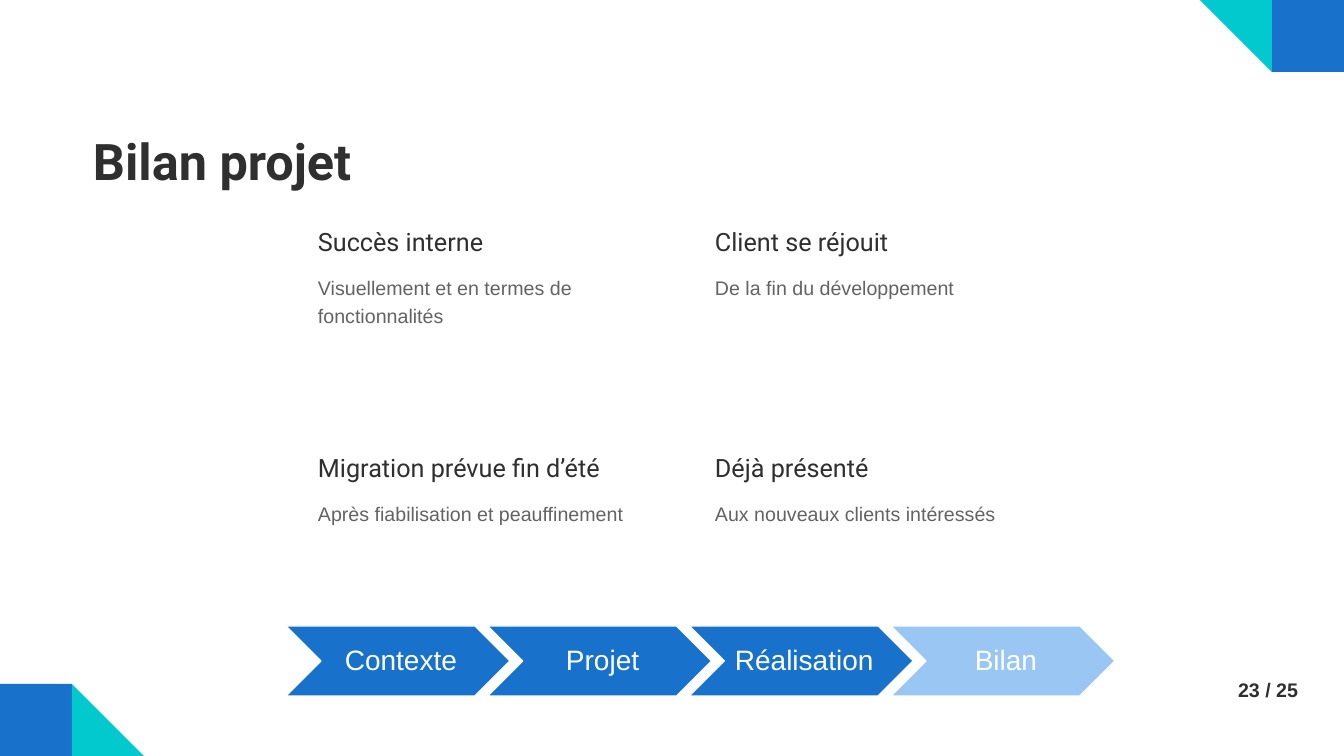
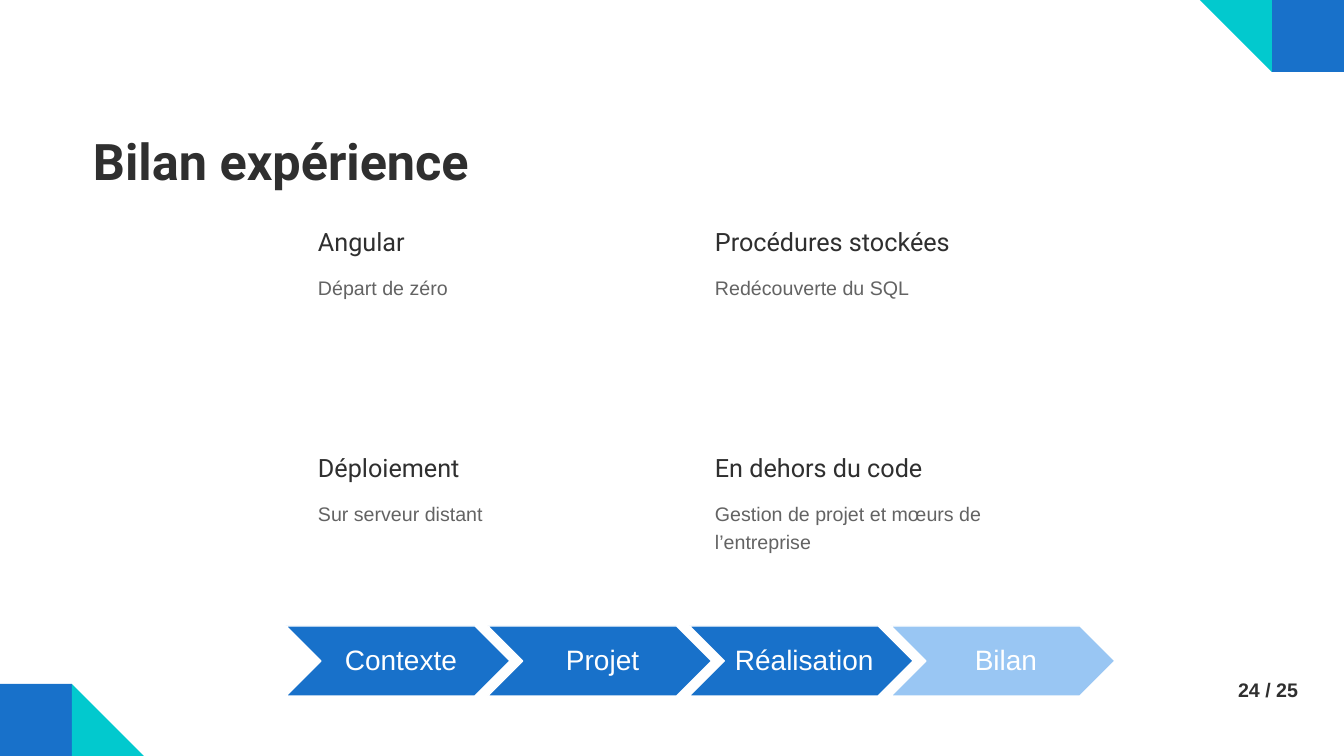
from pptx import Presentation
from pptx import util as u
from pptx.dml.color import RGBColor
from pptx.enum import shapes, text

WIDTH, HEIGHT = 1344, 756
SCALE = 914400 / 100.8
CORNER = 72
COLORS = {
    "blue": "1871CA",
    "pale_blue": "99C6F3",
    "teal": "02C9CE",
    "dark": "2F2F2F",
    "grey": "636363",
    "white": "FFFFFF",
}
STEPS = ["Contexte", "Projet", "Réalisation", "Bilan"]
CURRENT_STEP = "Bilan"
PAGE_COUNT = 25
SLIDES = [
    (23, "Bilan projet", [
        ("Succès interne", "Visuellement et en termes de fonctionnalités"),
        ("Client se réjouit", "De la fin du développement"),
        ("Migration prévue fin d’été", "Après fiabilisation et peauffinement"),
        ("Déjà présenté", "Aux nouveaux clients intéressés"),
    ]),
    (24, "Bilan expérience", [
        ("Angular", "Départ de zéro"),
        ("Procédures stockées", "Redécouverte du SQL"),
        ("Déploiement", "Sur serveur distant"),
        ("En dehors du code", "Gestion de projet et mœurs de l’entreprise"),
    ]),
]


def px(value):
    return u.Emu(round(value * SCALE))


def color(name):
    return RGBColor.from_string(COLORS[name])


def fill_shape(shape, fill, line=None):
    shape.shadow.inherit = False
    shape.fill.solid()
    shape.fill.fore_color.rgb = color(fill)
    if line:
        shape.line.color.rgb = color(line)
        shape.line.width = u.Pt(1)
    else:
        shape.line.fill.background()


def write(shape, content, *, size, ink, font="Arial", bold=False, spacing=1.0,
          anchor=text.MSO_ANCHOR.TOP, align=text.PP_ALIGN.LEFT,
          insets=(0, 0, 0, 0), wrap=True):
    frame = shape.text_frame
    frame.word_wrap = wrap
    frame.vertical_anchor = anchor
    frame.margin_left, frame.margin_top, frame.margin_right, frame.margin_bottom = map(px, insets)
    paragraph = frame.paragraphs[0]
    paragraph.alignment = align
    paragraph.line_spacing = spacing
    run = paragraph.add_run()
    run.text = content
    run.font.name = font
    run.font.size = u.Pt(size)
    run.font.bold = bold
    run.font.color.rgb = color(ink)


def add_text(slide, box, content, **style):
    write(slide.shapes.add_textbox(*map(px, box)), content, **style)


def add_corner(slide, left, top, triangle):
    square = slide.shapes.add_shape(
        shapes.MSO_SHAPE.RECTANGLE, px(left), px(top), px(CORNER), px(CORNER))
    fill_shape(square, "blue")
    start, *others = [(left + x * CORNER, top + y * CORNER) for x, y in triangle]
    builder = slide.shapes.build_freeform(*start, scale=SCALE)
    builder.add_line_segments(others, close=True)
    fill_shape(builder.convert_to_shape(), "teal")


def add_topic(slide, left, top, width, heading, detail):
    add_text(slide, (left, top, width, 68), heading, size=18, ink="dark",
             font="Roboto", anchor=text.MSO_ANCHOR.BOTTOM)
    add_text(slide, (left, top + 82, width, 113), detail, size=14, ink="grey", spacing=1.2)


def add_topic_grid(slide, left, top, topics):
    for index, (heading, detail) in enumerate(topics):
        row, column = divmod(index, 2)
        add_topic(slide, left + column * 397, top + row * 226, 342, heading, detail)


def add_progress(slide, left, top, width, height):
    step_width = 224
    pitch = (width - step_width) / (len(STEPS) - 1)
    for index, step in enumerate(STEPS):
        chevron = slide.shapes.add_shape(
            shapes.MSO_SHAPE.CHEVRON, px(left + index * pitch), px(top),
            px(step_width), px(height))
        fill_shape(chevron, "pale_blue" if step == CURRENT_STEP else "blue", "white")
        write(chevron, step, size=20, ink="white", spacing=0.9,
              anchor=text.MSO_ANCHOR.MIDDLE, align=text.PP_ALIGN.CENTER,
              insets=(9, 3, 3, 3))


def add_review_slide(presentation, number, title, topics):
    slide = presentation.slides.add_slide(presentation.slide_layouts[6])
    add_corner(slide, WIDTH - CORNER, 0, [(-1, 0), (0, 0), (0, 1)])
    add_corner(slide, 0, HEIGHT - CORNER, [(2, 1), (1, 1), (1, 0)])
    add_text(slide, (93, 98, 1158, 125), title, size=36, ink="dark", font="Roboto",
             bold=True, anchor=text.MSO_ANCHOR.MIDDLE)
    add_topic_grid(slide, 318, 189, topics)
    add_progress(slide, 286, 626, 829, 70)
    add_text(slide, (1228, 673, 81, 34), f"{number} / {PAGE_COUNT}", size=14,
             ink="dark", bold=True, insets=(10, 5, 10, 5), wrap=False)


def main():
    presentation = Presentation()
    presentation.slide_width = px(WIDTH)
    presentation.slide_height = px(HEIGHT)
    for number, title, topics in SLIDES:
        add_review_slide(presentation, number, title, topics)
    presentation.save("out.pptx")


if __name__ == "__main__":
    main()
